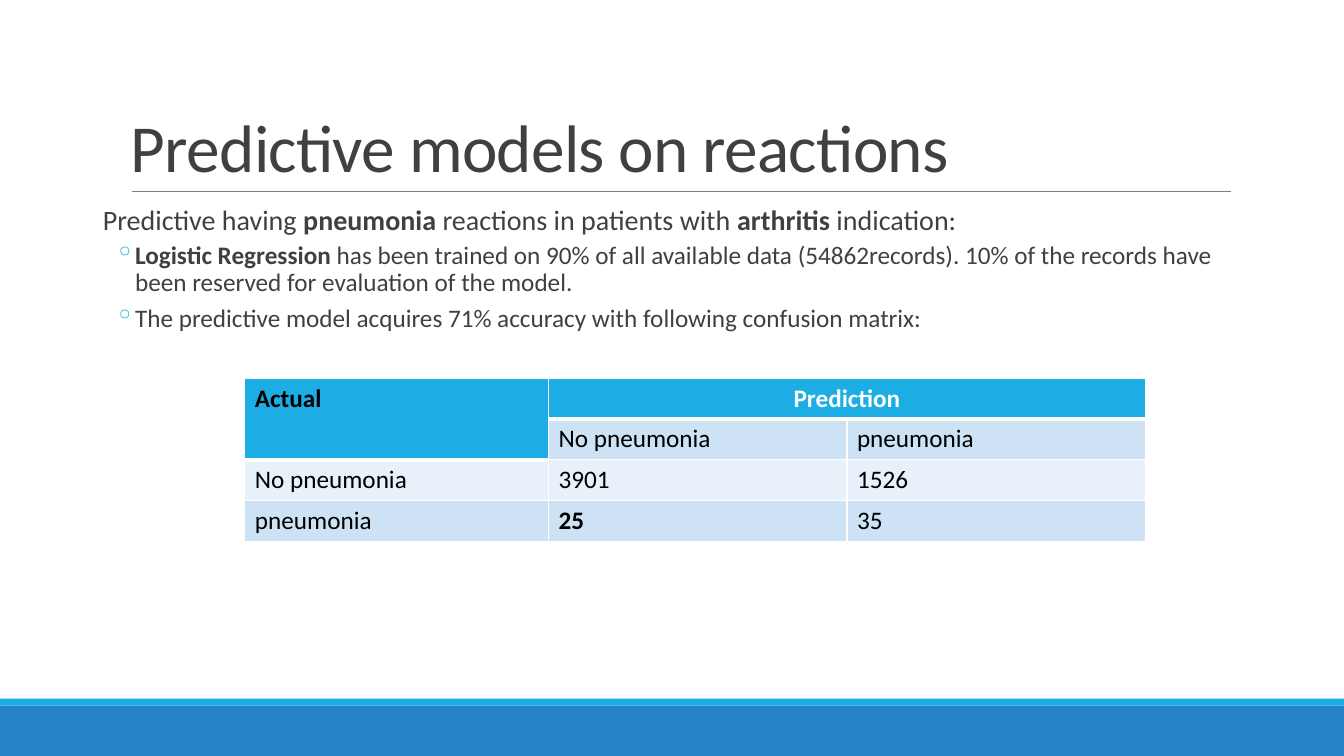
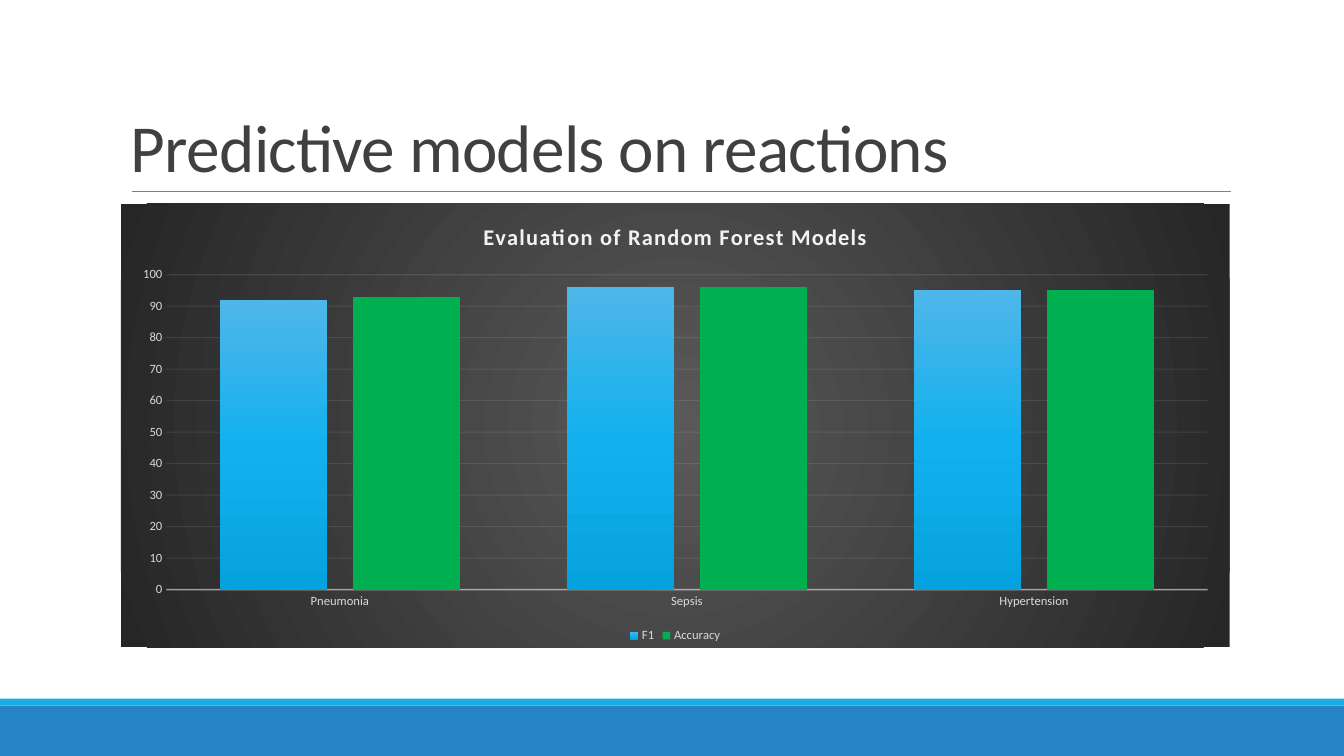
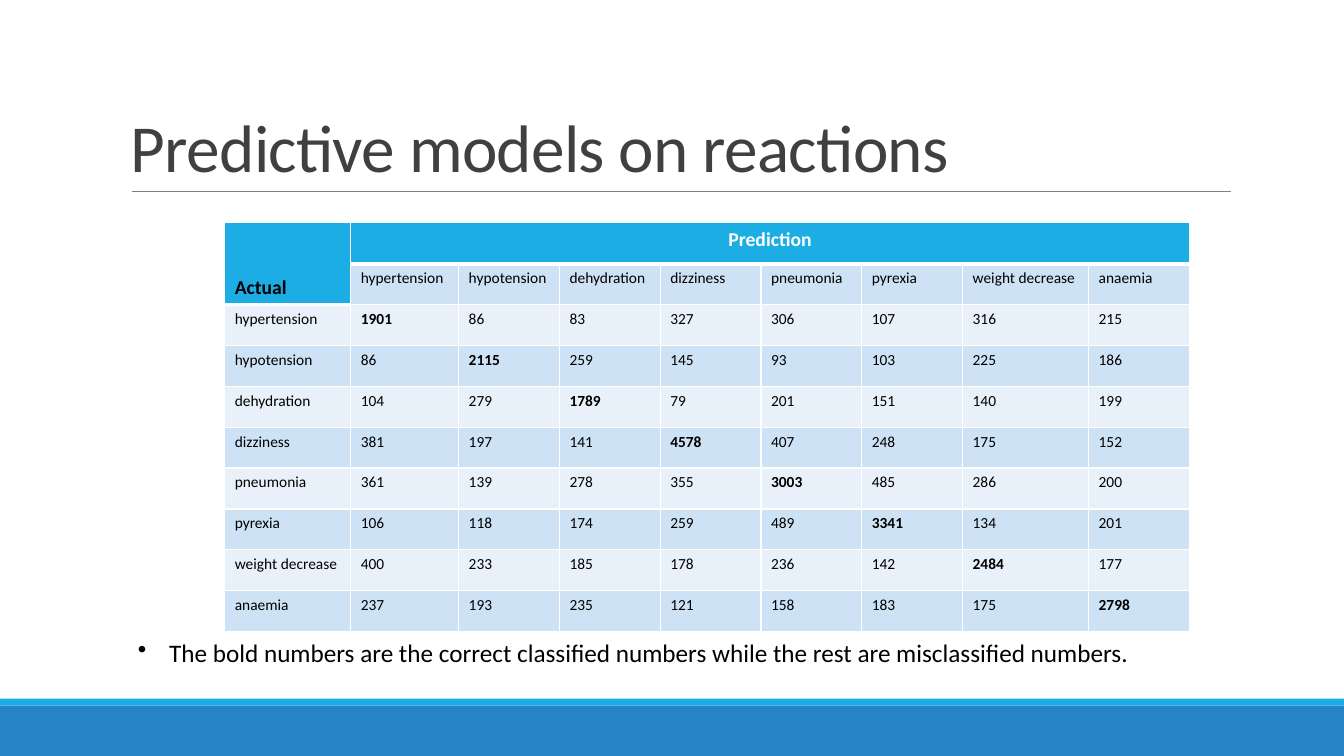
from pptx import Presentation
from pptx.chart.data import CategoryChartData
from pptx.dml.color import RGBColor
from pptx.enum.chart import XL_CHART_TYPE, XL_LEGEND_POSITION, XL_TICK_MARK
from pptx.enum.shapes import MSO_CONNECTOR, MSO_SHAPE
from pptx.enum.text import MSO_ANCHOR, MSO_AUTO_SIZE, PP_ALIGN
from pptx.oxml import parse_xml
from pptx.oxml.ns import nsdecls, qn
from pptx.util import Inches, Pt

FONT = "Calibri"
BLUE, SKY, PALE, PALER = "2683C6", "1CADE4", "CDE3F5", "E8F1FA"
INK, BLACK, WHITE, GRAY = "404040", "000000", "FFFFFF", "808080"
CHART_TEXT, CHART_LINE, GREEN = "D9D9D9", "F2F2F2", "00B050"
ROW_SHARE = 5.41  # table row, percent of slide height


def rgb(code):
    return RGBColor.from_string(code)


def apply(target, **values):
    for name, value in values.items():
        setattr(target, name, value)


def style_font(font, size, color, bold=False):
    apply(font, name=FONT, size=Pt(size), bold=bold)
    font.color.rgb = rgb(color)


def add_tag(parent, tag, attributes=""):
    parent.append(parse_xml(f"<a:{tag} {nsdecls('a')} {attributes}/>"))


def gradient(stops, direction):
    marks = "".join(f'<a:gs pos="{share * 1000}"><a:srgbClr val="{color}"/></a:gs>'
                    for share, color in stops)
    return f"<a:gradFill {nsdecls('a')}><a:gsLst>{marks}</a:gsLst>{direction}</a:gradFill>"


class Deck:
    """Holds the style and the current slide; lengths are percent of the slide."""

    def __init__(self):
        self.prs = Presentation()
        apply(self.prs, slide_width=Inches(13.33), slide_height=Inches(7.5))
        self.slide = None

    def x(self, share):
        return round(self.prs.slide_width * share / 100)

    def y(self, share):
        return round(self.prs.slide_height * share / 100)

    def area(self, left, top, width, height):
        return self.x(left), self.y(top), self.x(width), self.y(height)

    def new_slide(self, title):
        self.slide = self.prs.slides.add_slide(self.prs.slide_layouts[6])
        self.band(93.33, 6.67, BLUE)
        self.band(92.4, 0.93, SKY)
        self.rule(9.82, 91.58, 25.33)
        frame = self.text_box((9, 4.13, 82.5, 21.2), vertical_anchor=MSO_ANCHOR.BOTTOM)
        heading = self.paragraph(frame, title, 48, INK, line_spacing=0.85)
        heading.runs[0].font.element.set("spc", "-50") if hasattr(
            heading.runs[0].font, "element") else heading.runs[0]._r.get_or_add_rPr().set("spc", "-50")

    def band(self, top, height, color):
        band = self.slide.shapes.add_shape(MSO_SHAPE.RECTANGLE, *self.area(0, top, 100, height))
        band.shadow.inherit = False
        band.fill.solid()
        band.fill.fore_color.rgb = rgb(color)
        band.line.fill.background()

    def rule(self, start, end, top):
        rule = self.slide.shapes.add_connector(
            MSO_CONNECTOR.STRAIGHT, self.x(start), self.y(top), self.x(end), self.y(top))
        rule.line.color.rgb = rgb(GRAY)
        rule.line.width = Pt(0.5)
        add_tag(rule.element.spPr, "effectLst")

    def text_box(self, area, **frame_format):
        frame = self.slide.shapes.add_textbox(*self.area(*area)).text_frame
        apply(frame, word_wrap=True, **frame_format)
        return frame

    def paragraph(self, frame, text, size, color, bullet=None, bullet_color=None,
                  indent=(0, 0), **paragraph_format):
        """Add a paragraph; parts between asterisks are bold."""
        first = frame.paragraphs[0]
        paragraph = frame.add_paragraph() if first.runs else first
        apply(paragraph, **paragraph_format)
        properties = paragraph._p.get_or_add_pPr()
        for name, inches in zip(("marL", "indent"), indent):
            properties.set(name, str(Inches(inches)))
        if bullet:
            if bullet_color:
                properties.append(parse_xml(f'<a:buClr {nsdecls("a")}>'
                                            f'<a:srgbClr val="{bullet_color}"/></a:buClr>'))
            add_tag(properties, "buChar", f'char="{bullet}"')
        for number, part in enumerate(text.split("*")):
            if part:
                run = paragraph.add_run()
                run.text = part
                style_font(run.font, size, color, bold=number % 2 == 1)
        return paragraph

    def border(self, cell, side, points):
        cell._tc.get_or_add_tcPr().append(parse_xml(
            f'<a:ln{side} {nsdecls("a")} w="{Pt(points)}"><a:solidFill>'
            f'<a:srgbClr val="{WHITE}"/></a:solidFill></a:ln{side}>'))

    def confusion_matrix(self, left, top, columns, labels, counts, bold,
                         head_size, size, actual_anchor=MSO_ANCHOR.TOP):
        rows = [["Actual", "Prediction"] + [""] * (len(labels) - 1), [""] + labels]
        rows += [[label] + line for label, line in zip(labels, counts)]
        table = self.slide.shapes.add_table(
            len(rows), len(columns),
            *self.area(left, top, sum(columns), ROW_SHARE * len(rows))).table
        for column, share in zip(table.columns, columns):
            column.width = self.x(share)
        for r, line in enumerate(rows):
            table.rows[r].height = self.y(ROW_SHARE)
            for c, value in enumerate(line):
                cell = table.cell(r, c)
                last_head = 1 if c == 0 else 0
                head = r <= last_head
                for side, thick in (("L", False), ("R", False),
                                    ("T", r == last_head + 1), ("B", head)):
                    self.border(cell, side, 3 if thick else 1)
                cell.fill.solid()
                cell.fill.fore_color.rgb = rgb(SKY if head else PALE if r % 2 else PALER)
                if value != "":
                    text = f"*{value}*" if head or (r, c) in bold else str(value)
                    self.paragraph(cell.text_frame, text, head_size if head else size,
                                   WHITE if head and c else BLACK,
                                   alignment=PP_ALIGN.CENTER if head and c else PP_ALIGN.LEFT)
        table.cell(0, 0).merge(table.cell(1, 0))
        table.cell(0, 1).merge(table.cell(0, len(labels)))
        table.cell(0, 0).vertical_anchor = actual_anchor

    def column_chart(self, area, title, categories, series):
        data = CategoryChartData()
        data.categories = categories
        for name, values in series.items():
            data.add_series(name, values)
        chart = self.slide.shapes.add_chart(
            XL_CHART_TYPE.COLUMN_CLUSTERED, *self.area(*area), data).chart
        style_font(chart.font, 10, BLACK)

        # Title and legend
        heading = chart.chart_title.text_frame.paragraphs[0].add_run()
        heading.text = title
        style_font(heading.font, 16, CHART_LINE, bold=True)
        heading._r.get_or_add_rPr().set("spc", "100")
        chart.has_legend = True
        apply(chart.legend, position=XL_LEGEND_POSITION.BOTTOM, include_in_layout=False)
        style_font(chart.legend.font, 9, CHART_TEXT)

        # Axes
        for axis in (chart.category_axis, chart.value_axis):
            apply(axis, major_tick_mark=XL_TICK_MARK.NONE, minor_tick_mark=XL_TICK_MARK.NONE)
            style_font(axis.tick_labels.font, 9, CHART_TEXT)
        apply(chart.value_axis, minimum_scale=0, maximum_scale=100, major_unit=10,
              has_major_gridlines=True)
        chart.value_axis.format.line.fill.background()
        for line, width, part, opacity in (
                (chart.category_axis.format.line, 1, "c:catAx/c:spPr", 54),
                (chart.value_axis.major_gridlines.format.line, 0.75, "c:majorGridlines", 10)):
            line.color.rgb = rgb(CHART_LINE)
            line.width = Pt(width)
            color = chart.element.xpath(f".//{part}//a:srgbClr")[0]
            add_tag(color, "alpha", f'val="{opacity * 1000}"')

        # Columns and backdrop
        plot = chart.plots[0]
        apply(plot, gap_width=100, overlap=-24, vary_by_categories=False)
        accuracy = plot.series[1].format.fill
        accuracy.solid()
        accuracy.fore_color.rgb = rgb(GREEN)
        f1 = chart.element.xpath(".//c:ser")[0]
        f1.get_or_add_spPr().append(parse_xml(gradient(
            [(0, "4FB6E9"), (50, "12B1EE"), (100, "06A2DD")], '<a:lin ang="5400000"/>')))
        center = " ".join(f'{side}="50000"' for side in "ltrb")
        backdrop = gradient([(0, "595959"), (100, "262626")],
                            f'<a:path path="circle"><a:fillToRect {center}/></a:path>')
        chart.element.find(qn("c:chart")).addnext(parse_xml(
            f"<c:spPr {nsdecls('c', 'a')}>{backdrop}<a:ln><a:noFill/></a:ln></c:spPr>"))


def main():
    deck = Deck()
    title = "Predictive models on reactions"

    # Logistic regression
    deck.new_slide(title)
    body = deck.text_box((6.9, 26.67, 86.25, 73.33), margin_left=0, margin_right=0)
    deck.paragraph(body, "Predictive having *pneumonia* reactions in patients with "
                   "*arthritis* indication:", 20, INK, indent=(0.1, 0),
                   line_spacing=0.9, space_after=Pt(2))
    for point in ("*Logistic Regression *has been trained on 90% of all available data "
                  "(54862records). 10% of the records have been reserved for evaluation "
                  "of the model.",
                  "The predictive model acquires 71% accuracy with following confusion matrix:"):
        deck.paragraph(body, point, 18, INK, "◦", SKY, (0.42, -0.2), level=1,
                       line_spacing=0.9, space_before=Pt(2), space_after=Pt(4))
    deck.confusion_matrix(18.22, 50, [22.6, 22.2, 22.2], ["No pneumonia", "pneumonia"],
                          [[3901, 1526], [25, 35]], {(3, 1)}, 18, 18)

    # Random forest scores
    deck.new_slide(title)
    deck.column_chart((9, 26.93, 82.5, 58.67), "Evaluation of Random Forest Models",
                      ["Pneumonia", "Sepsis", "Hypertension"],
                      {"F1": (92, 96, 95), "Accuracy": (93, 96, 95)})

    # All reactions
    deck.new_slide(title)
    reactions = ["hypertension", "hypotension", "dehydration", "dizziness",
                 "pneumonia", "pyrexia", "weight decrease", "anaemia"]
    counts = [[1901, 86, 83, 327, 306, 107, 316, 215],
              [86, 2115, 259, 145, 93, 103, 225, 186],
              [104, 279, 1789, 79, 201, 151, 140, 199],
              [381, 197, 141, 4578, 407, 248, 175, 152],
              [361, 139, 278, 355, 3003, 485, 286, 200],
              [106, 118, 174, 259, 489, 3341, 134, 201],
              [400, 233, 185, 178, 236, 142, 2484, 177],
              [237, 193, 235, 121, 158, 183, 175, 2798]]
    correct = {(n + 1, n) for n in range(1, len(reactions) + 1)}
    deck.confusion_matrix(16.72, 29.47, [9.38, 8.03] + [7.5] * 5 + [9.38, 7.5],
                          reactions, counts, correct, 14, 11, MSO_ANCHOR.BOTTOM)
    note = deck.text_box((5.77, 83.6, 82.73, 5.33),
                         auto_size=MSO_AUTO_SIZE.SHAPE_TO_FIT_TEXT)
    deck.paragraph(note, "The bold numbers are the correct classified numbers while the "
                   "rest are misclassified numbers.", 18, BLACK, "•",
                   indent=(0.81, -0.31), level=1)

    deck.prs.save("out.pptx")


if __name__ == "__main__":
    main()
